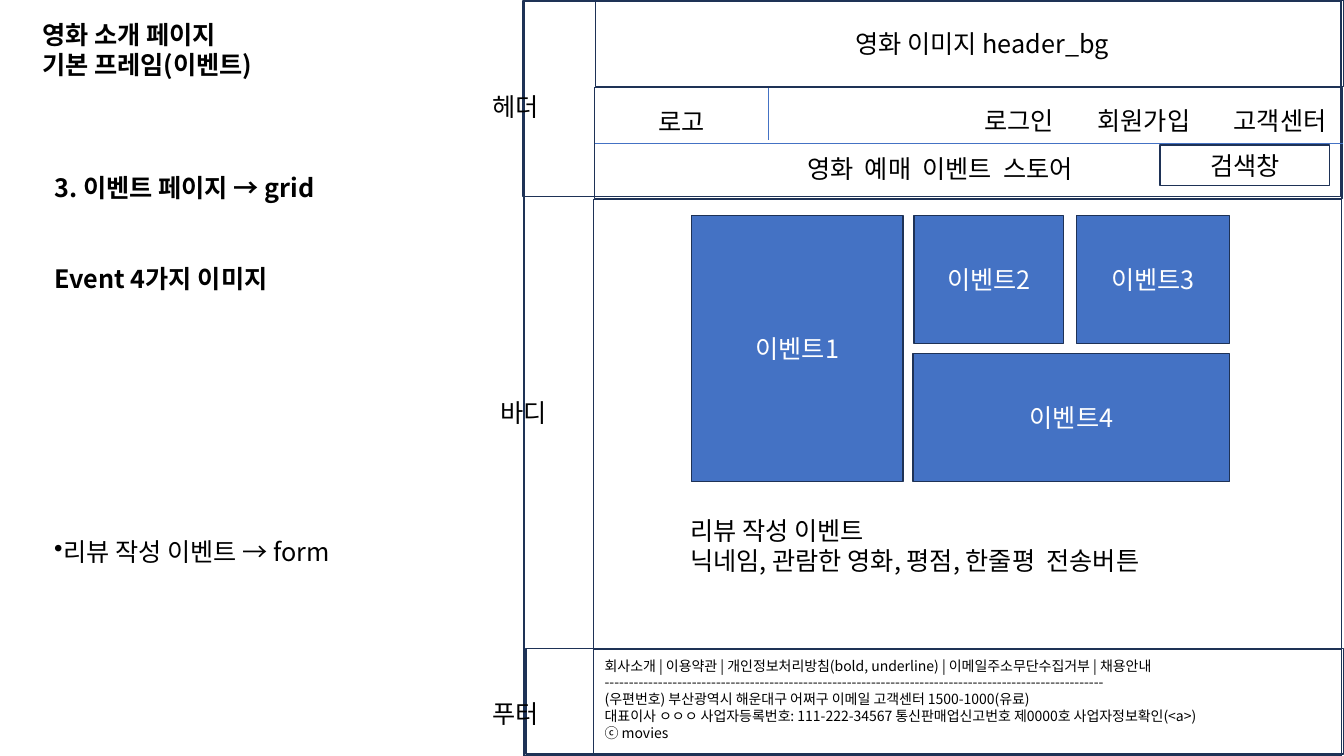
from lxml import etree
from pptx import Presentation
from pptx.dml.color import RGBColor
from pptx.enum.shapes import MSO_CONNECTOR, MSO_SHAPE
from pptx.enum.text import MSO_ANCHOR, PP_ALIGN
from pptx.oxml.ns import qn
from pptx.util import Pt

RECT = MSO_SHAPE.RECTANGLE
LINE = MSO_CONNECTOR.STRAIGHT
MIDDLE = MSO_ANCHOR.MIDDLE
LEFT, CENTER = PP_ALIGN.LEFT, PP_ALIGN.CENTER

NAVY = RGBColor(0x1E, 0x32, 0x56)
BLUE = RGBColor(0x44, 0x72, 0xC4)
BLACK = RGBColor(0, 0, 0)
WHITE = RGBColor(0xFF, 0xFF, 0xFF)
SIDE_LEFT, SIDE_RIGHT = 1, 3


def write(frame, text, font, size=18, bold=False, color=BLACK,
          align=LEFT, before=0, bullet=None, more=False):
    """Write one paragraph; with more=True, add it below the last one."""
    para = frame.add_paragraph() if more else frame.paragraphs[0]
    para.alignment = align
    para.space_before = Pt(before)
    if bullet:
        mark = etree.SubElement(para._p.get_or_add_pPr(), qn("a:buChar"))
        mark.set("char", bullet)
    run = para.add_run()
    run.text = text
    run.font.name = font
    run.font.size = Pt(size)
    run.font.bold = bold
    run.font.color.rgb = color
    east = etree.SubElement(run._r.get_or_add_rPr(), qn("a:ea"))
    east.set("typeface", font)


class Frame:
    """The slide with its common style."""

    def __init__(self, slide, font):
        self.shapes = slide.shapes
        self.font = font

    def box(self, left, top, width, height, text=None, fill=None, color=BLACK):
        shape = self.shapes.add_shape(RECT, Pt(left), Pt(top), Pt(width), Pt(height))
        shape.shadow.inherit = False
        shape.line.color.rgb = NAVY
        shape.line.width = Pt(1)
        if fill is None:
            shape.fill.background()
        else:
            shape.fill.solid()
            shape.fill.fore_color.rgb = fill
        if text:
            shape.text_frame.vertical_anchor = MIDDLE
            write(shape.text_frame, text, self.font, color=color, align=CENTER)
        return shape

    def text(self, left, top, width, height, lines, wrap=True, **style):
        """Each line is a string, or a pair of string and its own format."""
        area = self.shapes.add_textbox(Pt(left), Pt(top), Pt(width), Pt(height))
        area.text_frame.word_wrap = wrap
        for i, line in enumerate(lines):
            words, own = (line, {}) if isinstance(line, str) else line
            write(area.text_frame, words, self.font, more=i > 0, **{**style, **own})

    def label(self, left, top, width, words):
        self.text(left, top, width, 28.8, [words], wrap=False)

    def line(self, x1, y1, x2, y2):
        rule = self.shapes.add_connector(LINE, Pt(x1), Pt(y1), Pt(x2), Pt(y2))
        rule.line.color.rgb = BLUE
        rule.line.width = Pt(0.5)
        etree.SubElement(rule._element.spPr, qn("a:effectLst"))
        return rule


def main():
    deck = Presentation()
    deck.slide_width, deck.slide_height = Pt(960), Pt(540)
    page = Frame(deck.slides.add_slide(deck.slide_layouts[6]), "Noto Sans CJK KR")

    # Page outline and its three bands
    page.box(374.4, 0, 584, 540)
    page.box(373.7, 0.7, 584, 139.7)
    page.box(424, 463.7, 534.2, 75.6)
    page.box(424, 142.6, 534.2, 321.1)
    page.box(375.8, 463, 584, 75.6)
    for left, top, words in [(344.9, 61.9, "헤더"), (350.6, 280.1, "바디"),
                             (344.9, 495.4, "푸터")]:
        page.label(left, top, 51.1, words)

    # Header: banner, links, menu and search
    page.box(425.5, 0, 534.2, 61.9)
    page.label(604, 16.6, 204.5, "영화 이미지 header_bg")
    nav = page.box(424.8, 62.6, 534.2, 79.2)
    page.label(463, 72.7, 51.1, "로고")
    for left, width, words in [(696.2, 69.1, "로그인"), (776.9, 87.1, "회원가입"),
                               (874.1, 87.1, "고객센터")]:
        page.label(left, 72, width, words)
    page.label(569.5, 105.8, 234.7, "영화  예매  이벤트  스토어")
    page.box(828.7, 103.7, 121, 28.8, "검색창")
    page.line(548.6, 62.6, 548.6, 100.1)
    split = page.line(424.8, 102.2, 959, 102.2)
    split.begin_connect(nav, SIDE_LEFT)
    split.end_connect(nav, SIDE_RIGHT)

    # Body: event grid and review form
    events = [(493.9, 154.1, 151.2, 190.1), (653, 154.1, 106.6, 91.4),
              (769, 154.1, 109.4, 91.4), (652.3, 252.7, 226.1, 91.4)]
    for number, place in enumerate(events, 1):
        page.box(*place, f"이벤트{number}", fill=BLUE, color=WHITE)
    page.text(486, 364.3, 482.4, 51.1,
              ["리뷰 작성 이벤트", "닉네임, 관람한 영화, 평점, 한줄평  전송버튼"])

    # Footer
    page.text(424.8, 465.8, 481.7, 67.7, [
        "회사소개 | 이용약관 | 개인정보처리방침(bold, underline) | 이메일주소무단수집거부 | 채용안내",
        "-" * 103,
        "(우편번호) 부산광역시 해운대구 어쩌구 이메일 고객센터 1500-1000(유료)",
        "대표이사 ㅇㅇㅇ 사업자등록번호: 111-222-34567 통신판매업신고번호 제0000호 사업자정보확인(<a>)",
        "ⓒ movies"], size=10)

    # Title and notes on the left
    page.text(23, 10.1, 480.2, 51.1,
              ["영화 소개 페이지", "기본 프레임(이벤트)"], bold=True)
    page.text(31.7, 119.5, 482.4, 290.9, [
        "3. 이벤트 페이지 → grid",
        ("Event 4가지 이미지", {"before": 43.4}),
        ("리뷰 작성 이벤트 → form", {"before": 173.4, "bold": False, "bullet": "•"}),
    ], bold=True)

    deck.save("out.pptx")


if __name__ == "__main__":
    main()
